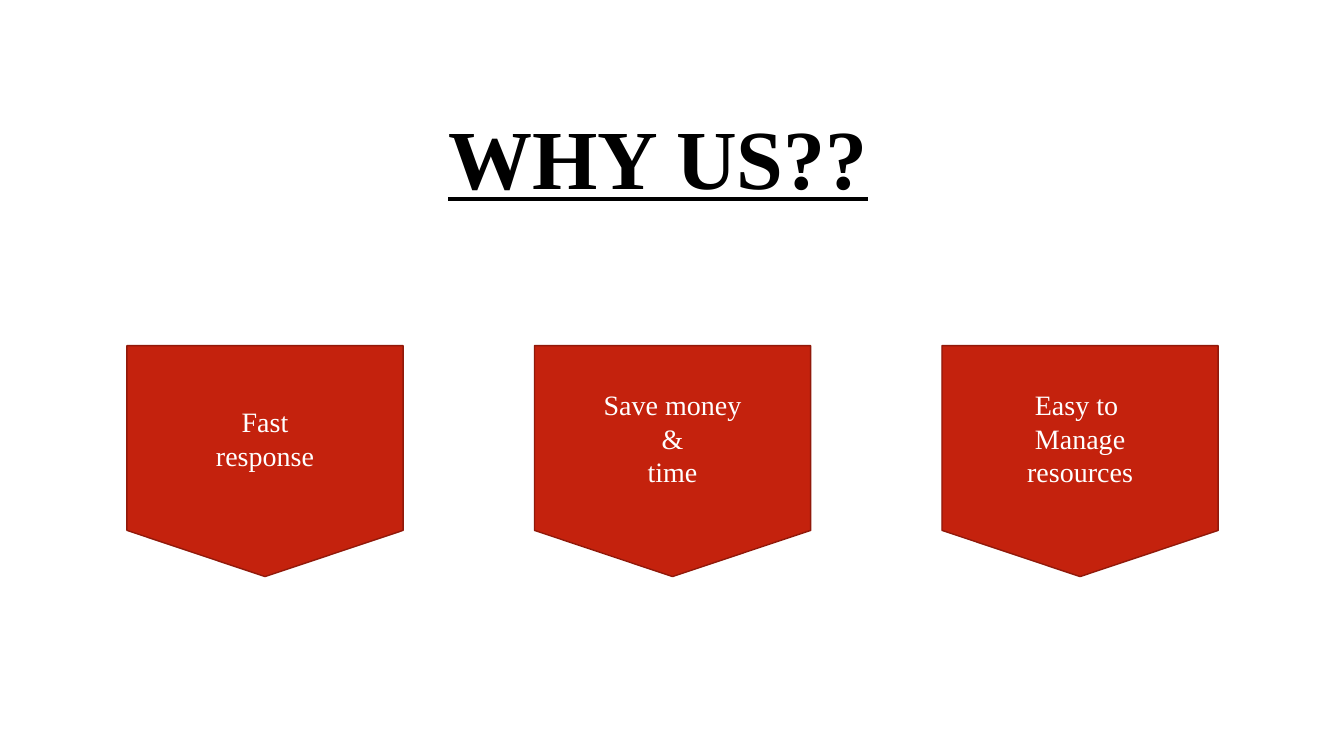
import pptx
import pptx.dml.color
import pptx.enum.shapes
import pptx.enum.text
import pptx.util

Cm = pptx.util.Cm
Pt = pptx.util.Pt
Align = pptx.enum.text.PP_ALIGN

REASONS = [
    ["Fast", "response"],
    ["Save money", "&", "time"],
    ["Easy to ", "Manage", "resources"],
]
FIRST_LEFT = 3.2
PITCH = 10.27


def color(value):
    return pptx.dml.color.RGBColor.from_string(value)


def write_text(frame, lines, font, size, fill, align, bold=False, underline=False, spacing=1.0):
    frame.word_wrap = True
    frame.auto_size = pptx.enum.text.MSO_AUTO_SIZE.NONE
    frame.vertical_anchor = pptx.enum.text.MSO_ANCHOR.MIDDLE
    for index, line in enumerate(lines):
        para = frame.add_paragraph() if index else frame.paragraphs[0]
        para.alignment = align
        para.line_spacing = spacing
        span = para.add_run()
        span.text = line
        span.font.name = font
        span.font.size = Pt(size)
        span.font.bold = bold
        span.font.underline = underline
        span.font.color.rgb = color(fill)


class ReasonsPage:
    font = "Times New Roman"
    title_color = "000000"
    label_color = "FFFFFF"
    badge_fill = "C4220D"
    badge_line = "91190A"

    def __init__(self, deck):
        self.page = deck.slides.add_slide(deck.slide_layouts[5])

    def title(self, text, left, top, width, height):
        box = self.page.shapes.title
        box.left, box.top, box.width, box.height = Cm(left), Cm(top), Cm(width), Cm(height)
        write_text(box.text_frame, [text], self.font, 60, self.title_color, Align.RIGHT,
                   bold=True, underline=True, spacing=0.9)

    def badge(self, lines, left, top, width, height):
        box = self.page.shapes.add_shape(
            pptx.enum.shapes.MSO_SHAPE.FLOWCHART_OFFPAGE_CONNECTOR,
            Cm(left), Cm(top), Cm(width), Cm(height))
        box.shadow.inherit = False
        box.fill.solid()
        box.fill.fore_color.rgb = color(self.badge_fill)
        box.line.color.rgb = color(self.badge_line)
        box.line.width = Pt(1)
        write_text(box.text_frame, lines, self.font, 20, self.label_color, Align.CENTER)


def main():
    deck = pptx.Presentation()
    deck.slide_width = Cm(33.87)
    deck.slide_height = Cm(19.05)
    page = ReasonsPage(deck)
    page.title("WHY US??", 7.92, 2.41, 14.2, 3.38)
    for index, lines in enumerate(REASONS):
        page.badge(lines, FIRST_LEFT + index * PITCH, 8.71, 6.96, 5.82)
    deck.save("out.pptx")


if __name__ == "__main__":
    main()
